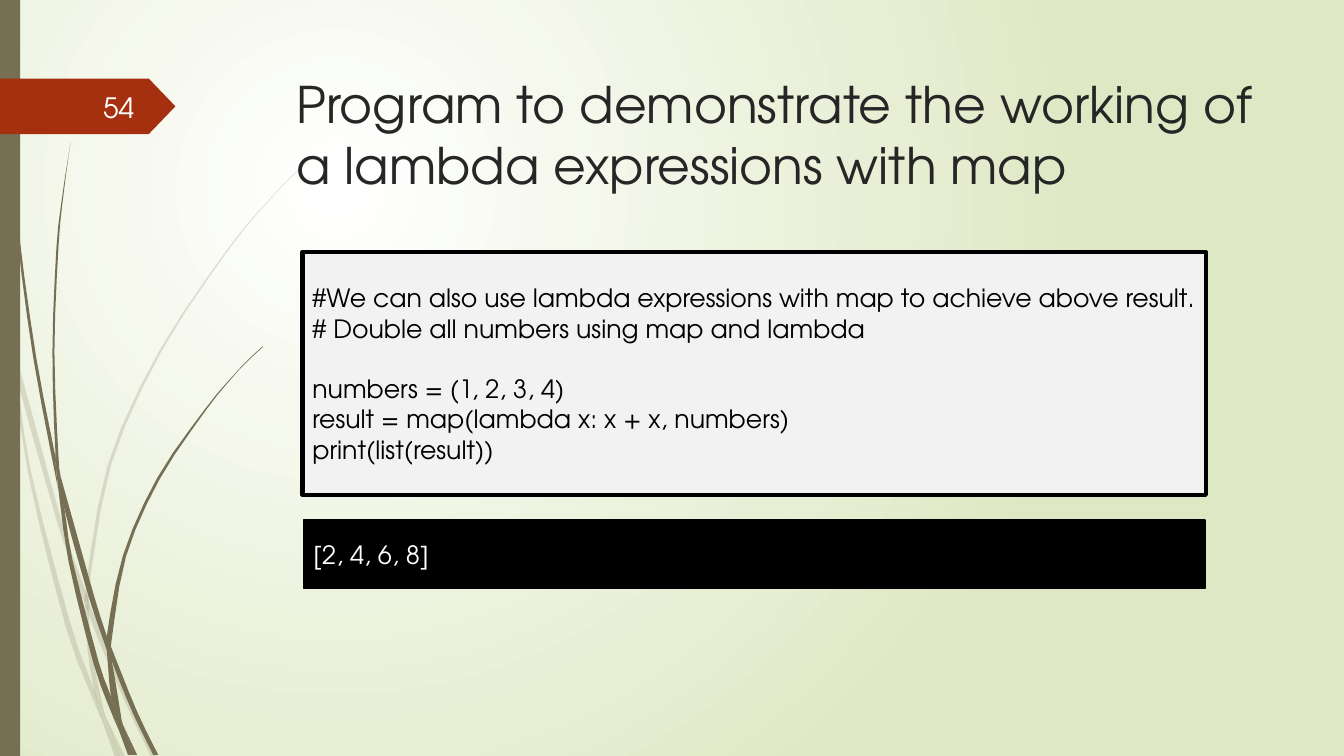
from lxml import etree
from pptx import Presentation
from pptx.dml.color import RGBColor
from pptx.enum.shapes import MSO_SHAPE
from pptx.enum.text import MSO_ANCHOR, PP_ALIGN
from pptx.oxml.ns import qn
from pptx.util import Inches, Pt

RECT, PENTAGON = MSO_SHAPE.RECTANGLE, MSO_SHAPE.PENTAGON
TOP, MIDDLE = MSO_ANCHOR.TOP, MSO_ANCHOR.MIDDLE
LEFT, RIGHT = PP_ALIGN.LEFT, PP_ALIGN.RIGHT

FONT = "TeX Gyre Adventor"
OLIVE, RUST, BLACK = "766F54", "A53010", "000000"
STEPS = 3  # straight pieces between two points of a curve
UNITS = 1000  # outline units to the inch

# Each blade of grass: its left edge going down, then its right edge going up.
FAINT_BLADES = [
    ([(0, 2.82), (0, 2.99), (0.1, 3.44), (0.11, 3.5)], [(0.11, 3.5), (0.09, 3.22), (0, 2.82)]),
    ([(0.14, 3.45), (0.17, 3.76), (0.58, 5.22), (0.84, 5.99)],
     [(0.85, 5.86), (0.62, 5.2), (0.14, 3.45)]),
    ([(0.88, 5.96), (0.88, 6.1), (1.23, 6.94), (1.5, 7.51)],
     [(1.55, 7.51), (1.27, 6.92), (0.92, 6.07), (0.88, 5.96)]),
    ([(1.05, 7.11), (1.19, 7.51)], [(1.24, 7.51), (1.05, 7.11)]),
    ([(0.11, 3.5), (0.28, 4.7), (0.65, 6.21), (0.92, 6.93), (1.01, 7.14)],
     [(0.99, 7.07), (0.93, 6.83), (0.7, 6.19), (0.31, 4.69), (0.17, 3.76), (0.11, 3.5)]),
    ([(0.84, 5.99), (0.87, 6.46), (0.93, 6.83), (0.96, 6.92), (1.05, 7.11)],
     [(1.03, 7.06), (0.91, 6.46), (0.88, 6.1), (0.84, 5.99)]),
    ([(3.12, 1.53), (2.89, 1.75), (2.68, 1.97), (2.28, 2.44), (1.58, 3.48), (1.07, 4.61),
      (0.85, 5.84), (0.88, 5.96)],
     [(0.88, 5.84), (1.1, 4.62), (1.6, 3.49), (2.29, 2.45), (2.68, 1.98), (2.9, 1.75),
      (3.12, 1.54)]),
    ([(1.01, 7.14), (1.14, 7.51)], [(1.19, 7.51), (1.01, 7.14)]),
    ([(0.85, 5.86), (0.84, 5.99), (0.88, 6.08)], [(0.88, 6.1), (0.88, 5.96), (0.85, 5.86)]),
    ([(0.93, 6.83), (0.99, 7.07), (1.01, 7.14), (1.19, 7.51)],
     [(1.19, 7.51), (1.05, 7.11), (0.96, 6.92), (0.93, 6.83)]),
]
DARK_BLADES = [
    ([(0.03, 0), (0.04, 0.48), (0.07, 1.1), (0.17, 2.33), (0.33, 3.55), (0.56, 4.77),
      (0.57, 4.81)],
     [(0.55, 4.57), (0.55, 4.53), (0.36, 3.55), (0.19, 2.32), (0.08, 1.09), (0.05, 0.48),
      (0.04, 0)]),
    ([(0.6, 4.72), (0.64, 5.05), (0.88, 5.92), (1.06, 6.45)],
     [(1.06, 6.31), (0.93, 5.9), (0.6, 4.72)]),
    ([(1.1, 6.41), (1.11, 6.56), (1.32, 7.08), (1.52, 7.49)],
     [(1.57, 7.49), (1.36, 7.06), (1.13, 6.49), (1.1, 6.41)]),
    ([(0.57, 4.77), (0.68, 5.57), (0.93, 6.59), (1.11, 7.08), (1.17, 7.22)],
     [(1.16, 7.17), (1.1, 6.91), (0.98, 6.57), (0.72, 5.56), (0.64, 5.05), (0.57, 4.77)]),
    ([(0.7, 1.41), (0.62, 1.93), (0.56, 2.45), (0.52, 3.49), (0.55, 4.49), (0.6, 4.72)],
     [(0.6, 4.72), (0.58, 4.53), (0.54, 3.49), (0.58, 2.45), (0.63, 1.93), (0.7, 1.41)]),
    ([(1.22, 7.19), (1.33, 7.49)], [(1.36, 7.49), (1.22, 7.19)]),
    ([(0.55, 4.49), (0.55, 4.53), (0.57, 4.77), (0.64, 5.05)], [(0.6, 4.72), (0.55, 4.49)]),
    ([(2.6, 3.44), (2.45, 3.58), (2.31, 3.73), (2.04, 4.05), (1.56, 4.74), (1.22, 5.51),
      (1.06, 6.31), (1.1, 6.41)],
     [(1.11, 6.33), (1.25, 5.52), (1.58, 4.76), (2.05, 4.06), (2.31, 3.74), (2.45, 3.59),
      (2.61, 3.44)]),
    ([(1.17, 7.22), (1.27, 7.49)], [(1.31, 7.49), (1.17, 7.22)]),
    ([(1.06, 6.45), (1.1, 6.91), (1.16, 7.06), (1.22, 7.19)],
     [(1.21, 7.16), (1.11, 6.56), (1.06, 6.45)]),
    ([(1.06, 6.31), (1.06, 6.45), (1.11, 6.56)], [(1.1, 6.41), (1.06, 6.31)]),
    ([(1.1, 6.91), (1.16, 7.17), (1.17, 7.22), (1.3, 7.49)],
     [(1.33, 7.49), (1.22, 7.19), (1.16, 7.06), (1.1, 6.91)]),
]
CODE = [
    "#We can also use lambda expressions with map to achieve above result.",
    "# Double all numbers using map and lambda",
    "numbers = (1, 2, 3, 4)",
    "result = map(lambda x: x + x, numbers)",
    "print(list(result))",
]


def rgb(color):
    return RGBColor.from_string(color)


def paint(sp, fill, line=None, width=0):
    sp.shadow.inherit = False
    sp.fill.solid()
    sp.fill.fore_color.rgb = rgb(fill)
    if line:
        sp.line.color.rgb = rgb(line)
        sp.line.width = Pt(width)
    else:
        sp.line.fill.background()


def add_box(s, box, fill, shape=RECT, line=None, width=0):
    sp = s.shapes.add_shape(shape, *map(Inches, box))
    paint(sp, fill, line, width)
    return sp


def write(sp, lines, size, color, anchor=MIDDLE, align=LEFT):
    tf = sp.text_frame
    tf.word_wrap = True
    tf.vertical_anchor = anchor
    tf.text = "\n".join(lines)
    for p in tf.paragraphs:
        p.alignment = align
        p.font.name, p.font.size = FONT, Pt(size)
        p.font.color.rgb = rgb(color)
    return tf


def add_text(s, box, text, size, color, anchor, align=LEFT):
    sp = s.shapes.add_textbox(*map(Inches, box))
    write(sp, [text], size, color, anchor, align)


def smooth(points):
    """Return points along a Catmull-Rom curve through the given points."""
    padded = [points[0], *points, points[-1]]
    curve = [points[0]]
    for a, b, c, d in zip(padded, padded[1:], padded[2:], padded[3:]):
        for step in range(1, STEPS + 1):
            t = step / STEPS
            curve.append(tuple(
                (2 * q + (r - p) * t + (2 * p - 5 * q + 4 * r - u) * t ** 2
                 + (3 * q - p - 3 * r + u) * t ** 3) / 2
                for p, q, r, u in zip(a, b, c, d)))
    return curve


def add_blades(s, blades, opacity=100):
    for down, up in blades:
        outline = [(x * UNITS, y * UNITS) for x, y in smooth(down) + smooth(up)]
        builder = s.shapes.build_freeform(*outline[0], scale=Inches(1) / UNITS)
        builder.add_line_segments(outline[1:])
        sp = builder.convert_to_shape()
        paint(sp, OLIVE)
        if opacity < 100:
            clr = next(sp._element.spPr.iter(qn("a:srgbClr")))
            etree.SubElement(clr, qn("a:alpha"), val=str(opacity * 1000))


def set_background(s):
    """Fill the slide with a circular gradient."""
    fill = s.background.fill
    fill.gradient()
    for stop, color in zip(fill.gradient_stops, ("FFFFFF", "DFE8C4")):
        stop.color.rgb = rgb(color)
    grad = next(s._element.iter(qn("a:gradFill")))
    circle = etree.Element(qn("a:path"), path="circle")
    etree.SubElement(circle, qn("a:fillToRect"),
                     l="50000", t="50000", r="100000", b="100000")
    grad.replace(grad.find(qn("a:lin")), circle)


def add_decoration(s):
    add_blades(s, FAINT_BLADES, opacity=20)
    add_blades(s, DARK_BLADES)
    add_box(s, (0, 0, 0.2, 7.5), OLIVE)


def add_page_tag(s, x, y, number):
    tag = add_box(s, (x, y, 1.74, 0.55), RUST, PENTAGON)
    tag.adjustments[0] = 0.48
    add_text(s, (x + 0.58, y + 0.08, 0.85, 0.4), number, 20, "FEFFFF", MIDDLE, RIGHT)


def add_code(s, box):
    sp = add_box(s, box, "F2F2F2", line=BLACK, width=3)
    tf = write(sp, CODE, 18, BLACK)
    tf.paragraphs[2].space_before = Pt(21.6)


def add_output(s, box):
    sp = add_box(s, box, BLACK, line=BLACK, width=1.25)
    write(sp, ["[2, 4, 6, 8]"], 18, "FFFFFF")


def main():
    prs = Presentation()
    prs.slide_width, prs.slide_height = Inches(13.33), Inches(7.5)
    s = prs.slides.add_slide(prs.slide_layouts[6])
    set_background(s)
    add_decoration(s)
    add_page_tag(s, 0, 0.78, "54")
    add_text(s, (2.84, 0.68, 9.75, 1.4),
             "Program to demonstrate the working of a lambda expressions with map",
             36, "262626", TOP)
    add_code(s, (3, 2.5, 8.96, 2.41))
    add_output(s, (3.01, 5.16, 8.94, 0.68))
    prs.save("out.pptx")


if __name__ == "__main__":
    main()
